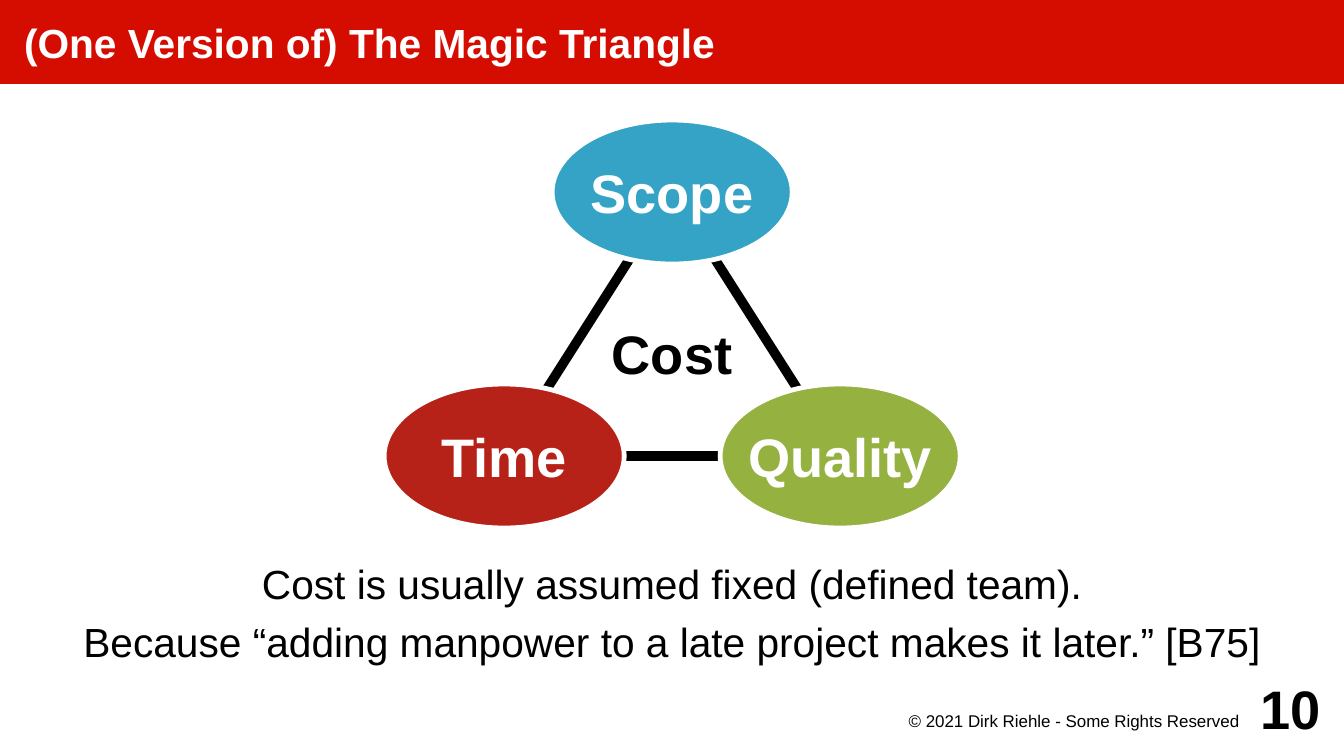
from itertools import combinations

from lxml.etree import SubElement
from pptx import Presentation
from pptx.dml.color import RGBColor
from pptx.enum.shapes import MSO_CONNECTOR as Connector, MSO_SHAPE as Shape
from pptx.enum.text import MSO_ANCHOR as Anchor, PP_ALIGN as Align
from pptx.oxml.ns import qn
from pptx.util import Pt

PAGE_WIDTH, PAGE_HEIGHT = 793.44, 446.4
OVAL_WIDTH, OVAL_HEIGHT = 141.73, 85.04
PAD = (5.67, 5.67, 5.67, 5.67)


def color(hex_code):
    return RGBColor.from_string(hex_code)


def write(shape, lines, size, ink, bold=False, align=Align.LEFT,
          anchor=Anchor.MIDDLE, insets=PAD, wrap=True, space_after=0):
    frame = shape.text_frame
    frame.word_wrap = wrap
    frame.vertical_anchor = anchor
    (frame.margin_left, frame.margin_top,
     frame.margin_right, frame.margin_bottom) = map(Pt, insets)
    frame.text = "\n".join(lines)
    for para in frame.paragraphs:
        para.alignment = align
        para.space_after = Pt(space_after)
        for span in para.runs:
            span.font.name = "Arial"
            span.font.size = Pt(size)
            span.font.bold = bold
            span.font.color.rgb = color(ink)


def add_shape(page, kind, box, fill=None, outline=None):
    shape = page.shapes.add_shape(kind, *map(Pt, box))
    shape.shadow.inherit = False
    if fill:
        shape.fill.solid()
        shape.fill.fore_color.rgb = color(fill)
    else:
        shape.fill.background()
    if outline:
        shape.line.color.rgb = color(outline)
        shape.line.width = Pt(2.83)
    else:
        shape.line.fill.background()
    return shape


def add_text(page, box, lines, size, **style):
    write(page.shapes.add_textbox(*map(Pt, box)), lines, size, "000000", **style)


def add_oval(page, center, height, label, ink, fill=None, outline=None):
    x, y = center
    box = (x - OVAL_WIDTH / 2, y - height / 2, OVAL_WIDTH, height)
    oval = add_shape(page, Shape.OVAL, box, fill, outline)
    write(oval, [label], 32, ink, bold=True, align=Align.CENTER, wrap=False)


def add_edge(page, start, end):
    edge = page.shapes.add_connector(Connector.STRAIGHT, *map(Pt, start + end))
    edge.line.color.rgb = color("000000")
    edge.line.width = Pt(5.67)
    SubElement(edge._element.spPr, qn("a:effectLst"))


def add_title(page, box):
    bar = add_shape(page, Shape.RECTANGLE, box, "D50D01")
    write(bar, ["(One Version of) The Magic Triangle"], 24, "FFFFFF",
          bold=True, insets=(14.17, 0, 0, 0))


def add_triangle(page, box):
    left, top, width, height = box
    middle = left + width / 2
    base = top + height - OVAL_HEIGHT / 2
    corners = {
        "Quality": ((left + width - OVAL_WIDTH / 2, base), "95B241"),
        "Scope": ((middle, top + OVAL_HEIGHT / 2), "34A3C5"),
        "Time": ((left + OVAL_WIDTH / 2, base), "B62118"),
    }
    # Edges run between corner centers, behind the ovals
    centers = [center for center, _ in corners.values()]
    for start, end in combinations(centers, 2):
        add_edge(page, start, end)
    for label, (center, fill) in corners.items():
        add_oval(page, center, OVAL_HEIGHT, label, "FFFFFF", fill, "FFFFFF")
    # Label inside the triangle
    add_oval(page, (middle, top + 137.5), 99.2, "Cost", "000000")


def add_statement(page, box):
    add_text(page, box, ["Cost is usually assumed fixed (defined team).",
                         "Because “adding manpower to a late project makes it later.” [B75]"],
             24, align=Align.CENTER, insets=PAD, space_after=5.7)


def add_footer(page, box):
    left, top, width, height = box
    # Copyright line
    add_text(page, (left, top + 21.3, 226.8, 21.6),
             ["© 2021 Dirk Riehle - Some Rights Reserved"], 10,
             align=Align.RIGHT, anchor=Anchor.TOP, insets=(0, 1.4, 5.67, 0))
    # Page number
    add_text(page, (left + width - 56.7, top, 56.7, height), ["10"], 32,
             bold=True, align=Align.RIGHT, insets=(0, 0, 0, 0))


def main():
    deck = Presentation()
    deck.slide_width, deck.slide_height = Pt(PAGE_WIDTH), Pt(PAGE_HEIGHT)
    page = deck.slides.add_slide(deck.slide_layouts[6])
    add_title(page, (0, 0, PAGE_WIDTH, 49.6))
    add_statement(page, (14.17, 276.4, 765.1, 170))
    add_triangle(page, (226.8, 70.9, 340.1, 240.9))
    add_footer(page, (510.3, 396.9, 269.2, 42.5))
    deck.save("out.pptx")


if __name__ == "__main__":
    main()
